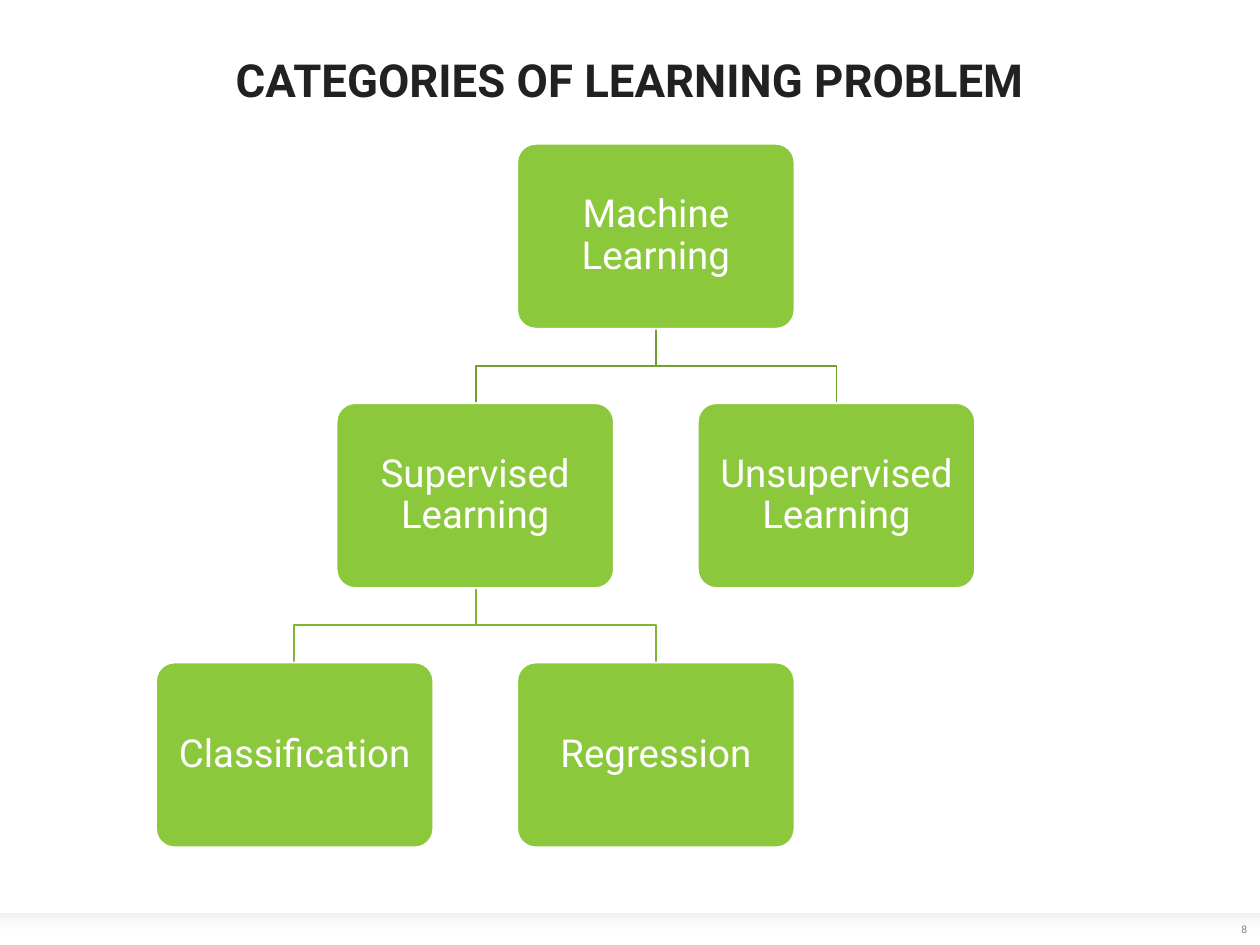
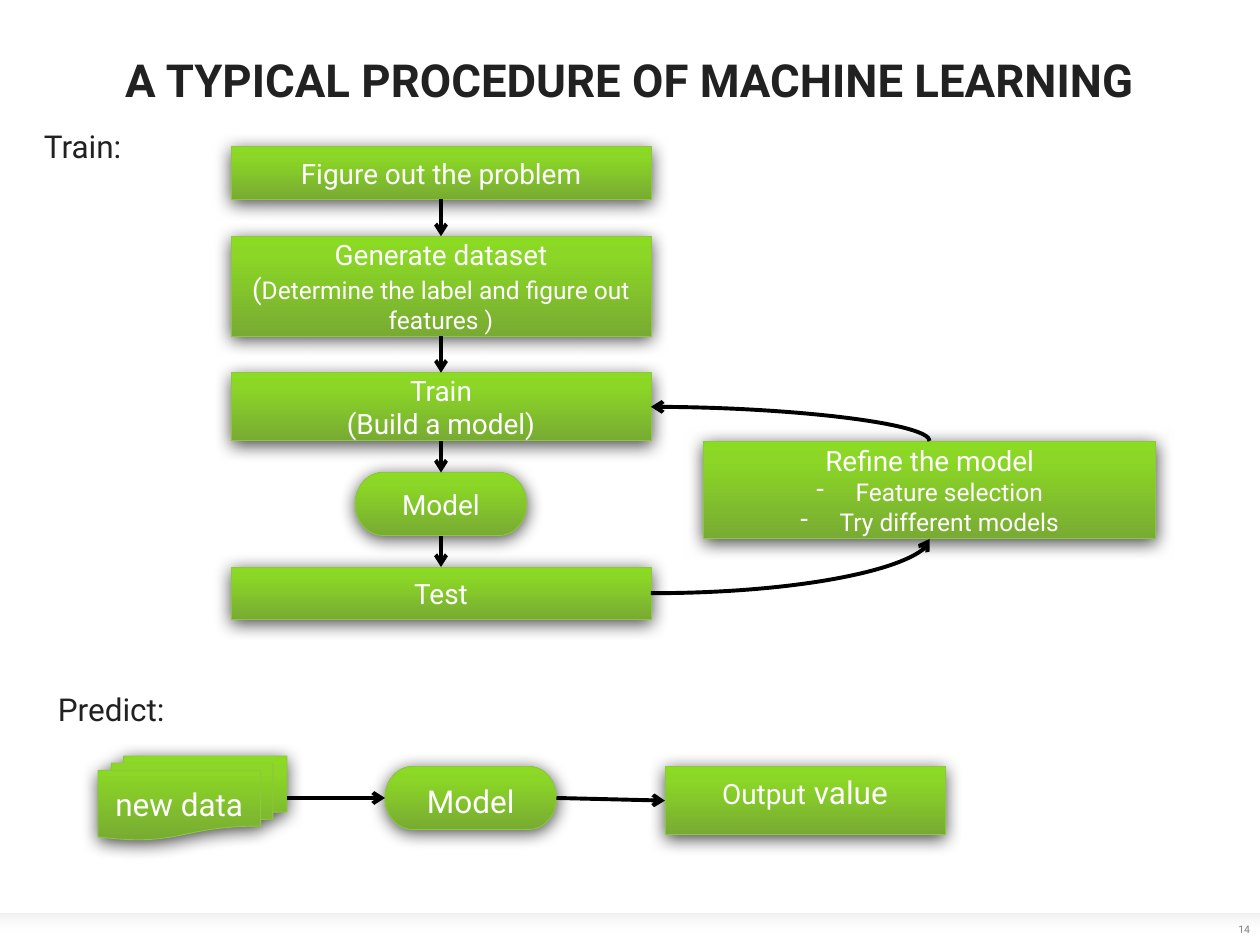
from dataclasses import dataclass
from itertools import pairwise

from lxml import etree
from pptx import Presentation, util as u
from pptx.dml import color
from pptx.enum import shapes, text
from pptx.oxml import ns

Pt = u.Pt
KIND = shapes.MSO_SHAPE
LINK = shapes.MSO_CONNECTOR
MID = text.MSO_ANCHOR.MIDDLE
TOP = text.MSO_ANCHOR.TOP
LEFT = text.PP_ALIGN.LEFT
CENTER = text.PP_ALIGN.CENTER
SIDE = {"top": 0, "left": 1, "bottom": 2, "right": 3}


@dataclass(frozen=True)
class Theme:
    font: str = "Roboto"
    ink: str = "212121"
    white: str = "FFFFFF"
    black: str = "000000"
    gray: str = "808080"
    green: str = "8CC83C"
    limbs: tuple = ("70A030", "7FB636")
    gloss: tuple = ((0, "78AB33", 100), (80, "8BD626", 100), (100, "8CDB23", 100))
    fade: tuple = ((0, "B3B3B3", 20), (67, "FFFFFF", 0))
    head: int = 26
    node: int = 22
    label: int = 18
    step: int = 16
    note: int = 14
    page: int = 6


T = Theme()


def rgb(hue):
    return color.RGBColor.from_string(hue)


def put(item, **vals):
    for key, val in vals.items():
        setattr(item, key, val)


def sub(node, tag, **vals):
    return etree.SubElement(node, ns.qn("a:" + tag), {k: str(v) for k, v in vals.items()})


def tint(node, hue, alpha):
    sub(sub(node, "srgbClr", val=hue), "alpha", val=alpha * 1000)


def blend(shape, stops, angle):
    shape.fill.gradient()
    shape.fill.gradient_angle = angle
    group = shape.element.spPr.find(".//" + ns.qn("a:gsLst"))
    for stop in list(group):
        group.remove(stop)
    for pos, hue, alpha in stops:
        tint(sub(group, "gs", pos=pos * 1000), hue, alpha)


def stroke(item, hue, width):
    item.line.color.rgb = rgb(hue)
    item.line.width = Pt(width)


def write(frame, lines, size, hue=T.white, bold=False, pad=None, align=CENTER,
          space=None, **form):
    put(frame, **{"word_wrap": True, "vertical_anchor": MID, **form})
    if pad is not None:
        put(frame, **{"margin_" + side: Pt(pad) for side in SIDE})
    for n, line in enumerate(lines):
        para = frame.add_paragraph() if n else frame.paragraphs[0]
        put(para, alignment=align, line_spacing=space)
        if isinstance(line, str):
            line = [(line, size)]
        for words, pts in line:
            run = para.add_run()
            run.text = words
            put(run.font, name=T.font, size=Pt(pts), bold=bold)
            run.font.color.rgb = rgb(hue)


def dash(para):
    props = para._p.get_or_add_pPr()
    props.set("marL", str(Pt(22.5)))
    props.set("indent", str(-Pt(22.5)))
    sub(props, "buChar", char="-")


def block(sld, kind, box):
    shape = sld.shapes.add_shape(kind, *map(Pt, box))
    shape.shadow.inherit = False
    return shape


def card(sld, box, lines, size=T.step, kind=KIND.RECTANGLE, **form):
    shape = block(sld, kind, box)
    blend(shape, T.gloss, 90)
    stroke(shape, T.green, 0.5)
    glow = shape.element.spPr.find(ns.qn("a:effectLst"))
    cast = sub(glow, "outerShdw", blurRad=Pt(10), dist=Pt(2), dir=90 * 60000,
               algn="ctr", rotWithShape=0)
    tint(cast, T.black, 70)
    write(shape.text_frame, lines, size, **form)
    return shape


def arrow(sld, start, out, end, into, kind=LINK.STRAIGHT, tip="tailEnd"):
    line = sld.shapes.add_connector(kind, 0, 0, 0, 0)
    line.begin_connect(start, SIDE[out])
    line.end_connect(end, SIDE[into])
    stroke(line, T.black, 2.25)
    props = line.element.spPr
    sub(props.find(ns.qn("a:ln")), tip, type="arrow")
    sub(props, "effectLst")
    if kind == LINK.CURVE:
        props.find(ns.qn("a:prstGeom")).set("prst", "curvedConnector2")


def label(sld, box, words, size, **form):
    frame = sld.shapes.add_textbox(*map(Pt, box)).text_frame
    write(frame, [words], size, **form)


def band(deck, sld):
    strip = block(sld, KIND.RECTANGLE, (0, 522, 720, 18))
    blend(strip, T.fade, 270)
    strip.line.fill.background()
    deck.slide_master.shapes.element.append(strip.element)


def page(deck, head, num):
    sld = deck.slides.add_slide(deck.slide_layouts[5])
    title = sld.shapes.title
    put(title, left=Pt(12), top=Pt(29.5), width=Pt(696), height=Pt(48))
    write(title.text_frame, [head], T.head, hue=T.ink, bold=True, pad=0,
          vertical_anchor=TOP, auto_size=text.MSO_AUTO_SIZE.NONE)
    label(sld, (702, 522, 18, 18), num, T.page, hue=T.gray, pad=0)
    return sld


def tree(sld, x, y):
    wide, high, half, row = 158.4, 105.6, 103.2, 148.2
    nodes = {
        "Machine Learning": (2, 0, None),
        "Supervised Learning": (1, 1, "Machine Learning"),
        "Unsupervised Learning": (3, 1, "Machine Learning"),
        "Classification": (0, 2, "Supervised Learning"),
        "Regression": (2, 2, "Supervised Learning"),
    }

    def spot(name):
        col, level, _ = nodes[name]
        return x + col * half, y + level * row

    for name, (_, level, boss) in nodes.items():
        if boss:
            (px, py), (cx, cy) = spot(boss), spot(name)
            px, cx, py = px + wide / 2, cx + wide / 2, py + high
            bend = (py + cy) / 2
            path = sld.shapes.build_freeform(px, py, scale=float(Pt(1)))
            path.add_line_segments([(px, bend), (cx, bend), (cx, cy)], close=False)
            limb = path.convert_to_shape()
            limb.shadow.inherit = False
            limb.fill.background()
            stroke(limb, T.limbs[level - 1], 1)
    for name in nodes:
        shape = block(sld, KIND.ROUNDED_RECTANGLE, (*spot(name), wide, high))
        shape.adjustments[0] = 0.1
        shape.fill.solid()
        shape.fill.fore_color.rgb = rgb(T.green)
        stroke(shape, T.white, 1)
        write(shape.text_frame, [name], T.node, pad=6.5, space=0.9)


def train(sld, x, y):
    label(sld, (x - 114, y - 15, 60, 29), "Train:", T.label, hue=T.ink,
          align=LEFT, word_wrap=False, vertical_anchor=TOP)
    wide, slim = 240, 98
    pill = {"kind": KIND.FLOWCHART_TERMINATOR, "vertical_anchor": TOP}
    hint = [("(", T.step), ("Determine the label and figure out features )", T.note)]
    steps = [
        (0, 30, wide, ["Figure out the problem"], {}),
        (21, 57, wide, ["Generate dataset", hint], {}),
        (21, 39, wide, ["Train", "(Build a model)"], {}),
        (18, 36, slim, ["Model"], pill),
        (18, 30, wide, ["Test"], {}),
    ]
    cards, down = [], y
    for gap, high, span, lines, form in steps:
        down += gap
        box = (x + (wide - span) / 2, down, span, high)
        cards.append(card(sld, box, lines, **form))
        down += high
    for prev, nxt in pairwise(cards):
        arrow(sld, prev, "bottom", nxt, "top")
    tips = [[(words, T.note)] for words in ("Feature selection", "Try different models")]
    tune = card(sld, (x + 270, y + 168, 258.5, 56), ["Refine the model", *tips])
    for para in tune.text_frame.paragraphs[1:]:
        dash(para)
    arrow(sld, cards[4], "right", tune, "bottom", LINK.CURVE)
    arrow(sld, cards[2], "right", tune, "top", LINK.CURVE, "headEnd")


def predict(sld, x, y):
    label(sld, (x - 30, y - 41, 76, 29), "Predict:", T.label, hue=T.ink,
          align=LEFT, word_wrap=False, vertical_anchor=TOP)
    data = card(sld, (x, y, 108, 48), ["new data"], T.label,
                KIND.FLOWCHART_MULTIDOCUMENT)
    model = card(sld, (x + 164, y + 6, 98, 36), ["Model"], T.label,
                 KIND.FLOWCHART_TERMINATOR, vertical_anchor=TOP)
    value = card(sld, (x + 324, y + 6, 160, 39),
                 [[("Output", T.step), (" value", T.label)]],
                 kind=KIND.FLOWCHART_PROCESS, vertical_anchor=TOP)
    for prev, nxt in pairwise((data, model, value)):
        arrow(sld, prev, "right", nxt, "left")


def main():
    deck = Presentation()
    put(deck, slide_width=Pt(720), slide_height=Pt(540))
    sld = page(deck, "CATEGORIES OF LEARNING PROBLEM", "8")
    band(deck, sld)
    tree(sld, 89.2, 82.2)
    sld = page(deck, "A TYPICAL PROCEDURE OF MACHINE LEARNING", "14")
    train(sld, 132, 84)
    predict(sld, 56, 432)
    deck.save("out.pptx")


if __name__ == "__main__":
    main()
